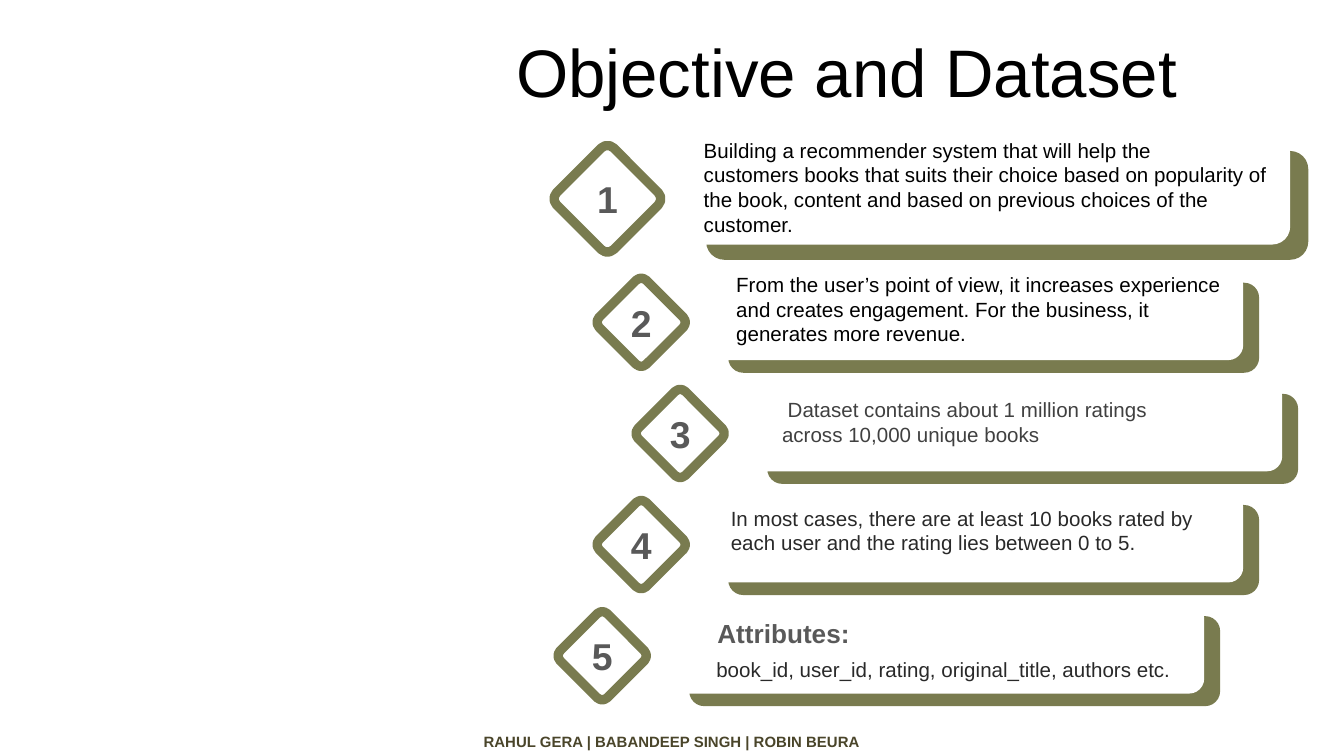
from pptx import Presentation
from pptx.dml.color import RGBColor
from pptx.enum.shapes import MSO_SHAPE as Shape
from pptx.enum.text import MSO_ANCHOR as Anchor, PP_ALIGN as Align
from pptx.util import Inches, Pt

COLORS = {"olive": "797B4F", "white": "FFFFFF", "black": "000000", "gray": "595959",
          "dark": "404040", "ink": "292929", "footer": "4A452A"}
FONT = "Arial"
WIDTH, HEIGHT = 10, 5.625
FIRST_CARD = (5.12, 1.01, 4.48, 0.81)
CARD_LEFT, CARD_TOP, CARD_WIDTH, CARD_HEIGHT = 5.3, 2.01, 3.95, 0.67
ROW_STEP, INDENT_STEP = 0.827, 0.29
INDENTS = (0, 1, 0, -1)

# Each text: share of its card (left, top, width, height), size, colour, bold, paragraphs
STEPS = [
    [((0.004, -0.05, 1.02, 1.04), 11, "black", False,
      ["Building a recommender system that will help the",
       "customers books that suits their choice based on popularity of the book, "
       "content and based on previous choices of the customer."])],
    [((0.02, -0.06, 0.985, 0.985), 11, "black", False,
      ["From the user’s point of view, it increases experience and creates "
       "engagement. For the business, it",
       "generates more revenue."])],
    [((0.033, 0.1, 0.84, 0.7), 11, "dark", False,
      [" Dataset contains about 1 million ratings across 10,000 unique books"])],
    [((0.01, 0.07, 0.97, 0.7), 11, "ink", False,
      ["In most cases, there are at least 10 books rated by",
       "each user and the rating lies between 0 to 5."])],
    [((0.058, 0.07, 0.84, 0.51), 14, "gray", True, ["Attributes:"]),
     ((0.056, 0.51, 0.94, 0.43), 11, "ink", False,
      ["book_id, user_id, rating, original_title, authors etc."])],
]


def color(name):
    """Return the named colour."""
    return RGBColor.from_string(COLORS[name])


def inches(box):
    """Convert a box of numbers to lengths."""
    return [Inches(length) for length in box]


def write(holder, paragraphs, size, ink, bold=False, align=Align.LEFT, anchor=Anchor.MIDDLE):
    """Fill a text holder and format its runs."""
    frame = holder.text_frame
    frame.word_wrap = True
    frame.vertical_anchor = anchor
    frame.text = "\n".join(paragraphs)
    for paragraph in frame.paragraphs:
        paragraph.alignment = align
        for run in paragraph.runs:
            run.font.name, run.font.size, run.font.bold = FONT, Pt(size), bold
            run.font.color.rgb = color(ink)


def add_panel(shapes, box, fill, outline=None):
    """Add a flat rounded rectangle."""
    panel = shapes.add_shape(Shape.ROUNDED_RECTANGLE, *inches(box))
    panel.shadow.inherit = False
    panel.fill.solid()
    panel.fill.fore_color.rgb = color(fill)
    if outline:
        panel.line.color.rgb = color(outline)
        panel.line.width = Pt(5)
    else:
        panel.line.fill.background()
    return panel


def add_badge(shapes, center_x, center_y, side, number):
    """Add a numbered diamond around a centre."""
    corner = (center_x - side / 2, center_y - side / 2)
    diamond = add_panel(shapes, (*corner, side, side), "white", "olive")
    diamond.adjustments[0] = 0.107
    diamond.rotation = 45
    label = shapes.add_textbox(*inches((*corner, side, side)))
    write(label, [str(number)], 20, "gray", True, Align.CENTER)


def add_step(slide, box, number, texts):
    """Add a card with its olive backing, texts and badge."""
    left, top, width, height = box
    shapes = slide.shapes.add_group_shape().shapes
    add_panel(shapes, (left + 0.03 * width, top + 0.14 * height, width, height), "olive")
    add_panel(shapes, box, "white")
    for (x, y, w, h), size, ink, bold, paragraphs in texts:
        area = (left + x * width, top + y * height, w * width, h * height)
        write(shapes.add_textbox(*inches(area)), paragraphs, size, ink, bold)
    add_badge(shapes, left - 0.134 * width, top + 0.58 * height, 0.74 * height, number)


def add_title(slide, box):
    """Place and format the title."""
    title = slide.shapes.title
    title.left, title.top, title.width, title.height = inches(box)
    write(title, ["Objective and Dataset"], 36, "black")


def add_footer(slide, box):
    """Add the centred line of authors."""
    authors = slide.shapes.add_textbox(*inches(box))
    write(authors, ["RAHUL GERA | BABANDEEP SINGH | ROBIN BEURA"], 8, "footer", True,
          Align.CENTER, Anchor.TOP)


def main():
    """Build and save the slide."""
    deck = Presentation()
    deck.slide_width, deck.slide_height = Inches(WIDTH), Inches(HEIGHT)
    slide = deck.slides.add_slide(deck.slide_layouts[5])
    add_title(slide, (3.74, 0.21, 6.26, 0.63))
    cards = [FIRST_CARD] + [
        (CARD_LEFT + indent * INDENT_STEP, CARD_TOP + row * ROW_STEP, CARD_WIDTH, CARD_HEIGHT)
        for row, indent in enumerate(INDENTS)]
    for number, (card, texts) in enumerate(zip(cards, STEPS), 1):
        add_step(slide, card, number, texts)
    add_footer(slide, (0, 0.96 * HEIGHT, WIDTH, 0.24))
    deck.save("out.pptx")


if __name__ == "__main__":
    main()
